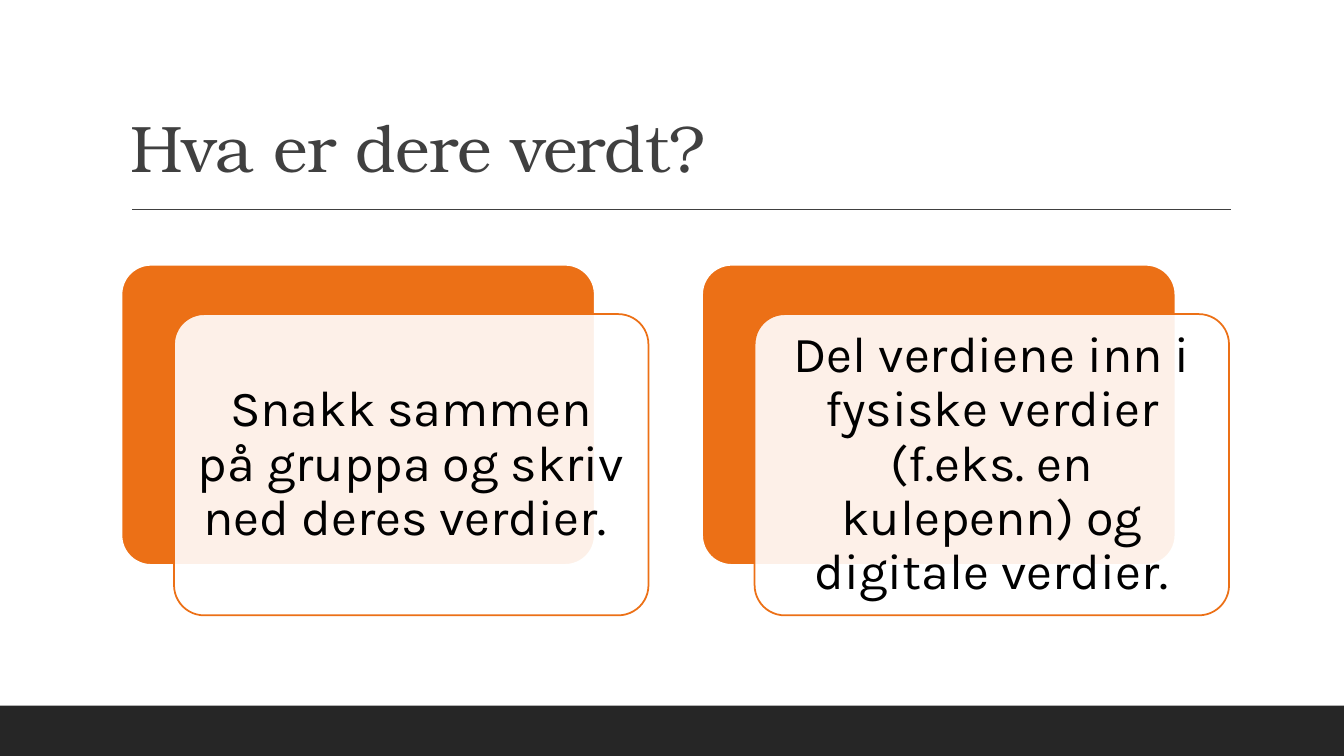
from dataclasses import dataclass

from lxml.etree import SubElement
from pptx import Presentation
from pptx.dml.color import RGBColor
from pptx.enum.shapes import MSO_CONNECTOR, MSO_SHAPE
from pptx.enum.text import MSO_ANCHOR, PP_ALIGN
from pptx.oxml.ns import qn
from pptx.shapes.autoshape import Shape
from pptx.slide import Slide
from pptx.util import Emu, Inches, Pt

PAGE_WIDTH, PAGE_HEIGHT = Inches(13.33), Inches(7.5)


@dataclass(frozen=True)
class Theme:
    accent: RGBColor = RGBColor(0xEC, 0x70, 0x16)
    paper: RGBColor = RGBColor(0xFF, 0xFF, 0xFF)
    heading: RGBColor = RGBColor(0x40, 0x40, 0x40)
    body: RGBColor = RGBColor(0x00, 0x00, 0x00)
    footer: RGBColor = RGBColor(0x26, 0x26, 0x26)
    heading_font: str = "TeX Gyre Bonum"
    body_font: str = "Karla"
    heading_size: Pt = Pt(47)
    body_size: Pt = Pt(36)
    heading_spacing: int = -50
    panel_opacity: int = 90
    line_spacing: float = 0.9


@dataclass(frozen=True)
class Area:
    """A rectangle in percent of the page's width and height."""
    left: float
    top: float
    width: float
    height: float

    def shifted(self, across: float, down: float = 0) -> "Area":
        return Area(self.left + across, self.top + down, self.width, self.height)

    def lengths(self) -> tuple[Emu, Emu, Emu, Emu]:
        return (
            Emu(round(PAGE_WIDTH * self.left / 100)),
            Emu(round(PAGE_HEIGHT * self.top / 100)),
            Emu(round(PAGE_WIDTH * self.width / 100)),
            Emu(round(PAGE_HEIGHT * self.height / 100)),
        )


@dataclass(frozen=True)
class Card:
    column: int
    text: str


THEME = Theme()
FOOTER = Area(0, 93.33, 100, 6.67)
TITLE = Area(9, 4.13, 82.5, 21.2)
RULE = Area(9.83, 27.73, 81.77, 0)
FIRST_CARD = Area(9, 34.95, 35.3, 39.85)
CARD_STEP = 43.2
PANEL_ACROSS, PANEL_DOWN = 3.95, 6.6
CARDS = (
    Card(0, "Snakk sammen på gruppa og skriv ned deres verdier. "),
    Card(1, "Del verdiene inn i fysiske verdier (f.eks. en kulepenn) og digitale verdier."),
)


def add_block(page: Slide, kind: MSO_SHAPE, area: Area, fill: RGBColor) -> Shape:
    block = page.shapes.add_shape(kind, *area.lengths())
    block.shadow.inherit = False
    block.fill.solid()
    block.fill.fore_color.rgb = fill
    block.line.fill.background()
    return block


def add_rounded(page: Slide, area: Area, fill: RGBColor, edge: RGBColor, weight: float) -> Shape:
    block = add_block(page, MSO_SHAPE.ROUNDED_RECTANGLE, area, fill)
    block.adjustments[0] = 0.1
    block.line.color.rgb = edge
    block.line.width = Pt(weight)
    return block


def write(box: Shape, text: str, font: str, size: Pt, color: RGBColor,
          align: PP_ALIGN, anchor: MSO_ANCHOR, spacing: int = 0) -> None:
    """Fill a box with one run; spacing is in hundredths of a point."""
    frame = box.text_frame
    frame.word_wrap = True
    frame.vertical_anchor = anchor
    para = frame.paragraphs[0]
    para.alignment = align
    para.line_spacing = THEME.line_spacing
    span = para.add_run()
    span.text = text
    span.font.name = font
    span.font.size = size
    span.font.color.rgb = color
    if spacing:
        span.font._element.set("spc", str(spacing))


def add_title(page: Slide, text: str) -> None:
    box = page.shapes.add_textbox(*TITLE.lengths())
    write(box, text, THEME.heading_font, THEME.heading_size, THEME.heading,
          PP_ALIGN.LEFT, MSO_ANCHOR.BOTTOM, THEME.heading_spacing)


def add_rule(page: Slide) -> None:
    left, top, width, height = RULE.lengths()
    rule = page.shapes.add_connector(
        MSO_CONNECTOR.STRAIGHT, left, top, left + width, top + height)
    rule.line.color.rgb = THEME.heading
    rule.line.width = Pt(1)
    SubElement(rule._element.spPr, qn("a:effectLst"))


def add_card(page: Slide, card: Card) -> None:
    """Draw a solid back plate and a see-through text panel set off from it."""
    plate = FIRST_CARD.shifted(card.column * CARD_STEP)
    add_rounded(page, plate, THEME.accent, THEME.paper, 2)
    panel = add_rounded(page, plate.shifted(PANEL_ACROSS, PANEL_DOWN),
                        THEME.paper, THEME.accent, 1.25)
    color = panel._element.spPr.find(qn("a:solidFill")).find(qn("a:srgbClr"))
    SubElement(color, qn("a:alpha")).set("val", str(THEME.panel_opacity * 1000))
    frame = panel.text_frame
    frame.margin_left = frame.margin_right = Inches(0.15)
    frame.margin_top = frame.margin_bottom = Inches(0.15)
    write(panel, card.text, THEME.body_font, THEME.body_size, THEME.body,
          PP_ALIGN.CENTER, MSO_ANCHOR.MIDDLE)


def main() -> None:
    deck = Presentation()
    deck.slide_width, deck.slide_height = PAGE_WIDTH, PAGE_HEIGHT
    page = deck.slides.add_slide(deck.slide_layouts[6])
    add_block(page, MSO_SHAPE.RECTANGLE, FOOTER, THEME.footer)
    add_rule(page)
    add_title(page, "Hva er dere verdt?")
    for card in CARDS:
        add_card(page, card)
    deck.save("out.pptx")


if __name__ == "__main__":
    main()
